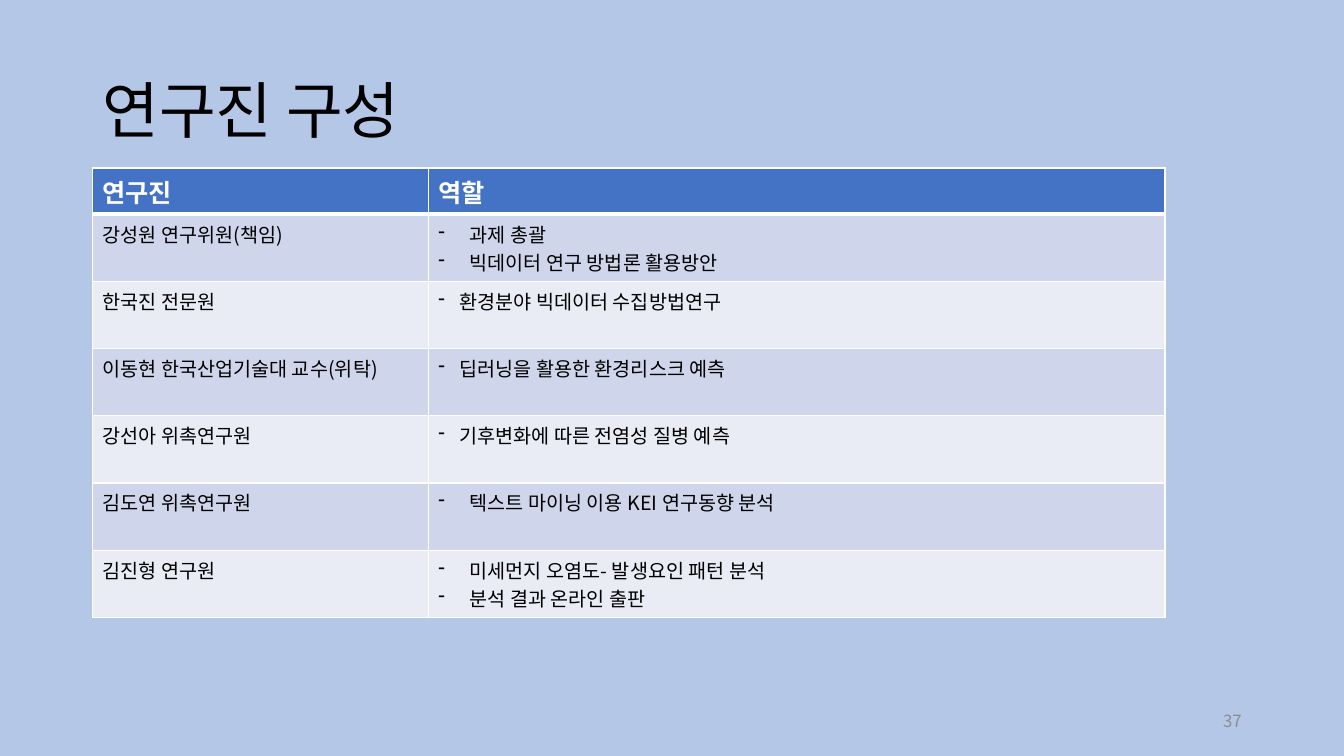
from lxml import etree
from pptx import Presentation
from pptx.dml.color import RGBColor
from pptx.enum.text import MSO_ANCHOR, PP_ALIGN
from pptx.oxml.ns import qn
from pptx.util import Inches, Pt

MIDDLE, TOP = MSO_ANCHOR.MIDDLE, MSO_ANCHOR.TOP
LEFT, RIGHT = PP_ALIGN.LEFT, PP_ALIGN.RIGHT

FONT = "Noto Sans CJK KR"
COLORS = {
    "background": "B4C7E7", "text": "000000", "number": "8C8C8C", "white": "FFFFFF",
    "header": "4472C4", "band_dark": "CFD5EA", "band_light": "E9EBF5",
}
WIDE, NARROW = 0.31, 0.21  # hanging indents of the dashes, in inches

HEADINGS = ("연구진", "역할")
# Researcher, indent of the dashes, roles
TEAM = [
    ("강성원 연구위원(책임)", WIDE, ["과제 총괄", "빅데이터 연구 방법론 활용방안"]),
    ("한국진 전문원", NARROW, ["환경분야 빅데이터 수집방법연구"]),
    ("이동현 한국산업기술대 교수(위탁)", NARROW, ["딥러닝을 활용한 환경리스크 예측"]),
    ("강선아 위촉연구원", NARROW, ["기후변화에 따른 전염성 질병 예측"]),
    ("김도연 위촉연구원", WIDE, ["텍스트 마이닝 이용 KEI 연구동향 분석"]),
    ("김진형 연구원", WIDE, ["미세먼지 오염도- 발생요인 패턴 분석", "분석 결과 온라인 출판"]),
]


def write(frame, *lines, size, color="text", bold=False, align=LEFT, spacing=None, indent=None):
    """Fill a text frame with one paragraph per line; an indent adds dashes."""
    for index, line in enumerate(lines):
        paragraph = frame.paragraphs[0] if index == 0 else frame.add_paragraph()
        if indent:
            properties = paragraph._p.get_or_add_pPr()
            properties.set("marL", str(Inches(indent)))
            properties.set("indent", str(-Inches(indent)))
            etree.SubElement(properties, qn("a:buFontTx"))
            etree.SubElement(properties, qn("a:buChar")).set("char", "-")
        paragraph.alignment = align
        if spacing:
            paragraph.line_spacing = spacing
        run = paragraph.add_run()
        run.text = line
        run.font.size, run.font.bold, run.font.name = Pt(size), bold, FONT
        run.font.color.rgb = RGBColor.from_string(COLORS[color])
        etree.SubElement(run._r.get_or_add_rPr(), qn("a:ea")).set("typeface", FONT)


class Deck:
    """Holds the style and the current slide; lengths are in grid units."""

    COLUMNS, ROWS = 160, 90

    def __init__(self):
        self.deck = Presentation()
        self.deck.slide_width, self.deck.slide_height = Inches(13.33), Inches(7.5)
        self.slide = self.deck.slides.add_slide(self.deck.slide_layouts[6])
        fill = self.slide.background.fill
        fill.solid()
        fill.fore_color.rgb = RGBColor.from_string(COLORS["background"])

    def x(self, columns):
        return round(self.deck.slide_width * columns / self.COLUMNS)

    def y(self, rows):
        return round(self.deck.slide_height * rows / self.ROWS)

    def place(self, left, top, width, height):
        return self.x(left), self.y(top), self.x(width), self.y(height)

    def text(self, *box, words, **style):
        frame = self.slide.shapes.add_textbox(*self.place(*box)).text_frame
        frame.word_wrap, frame.vertical_anchor = True, MIDDLE
        write(frame, words, **style)

    def table(self, left, top, widths, heights):
        box = self.place(left, top, sum(widths), sum(heights))
        table = self.slide.shapes.add_table(len(heights), len(widths), *box).table
        for column, width in zip(table.columns, widths):
            column.width = self.x(width)
        for row, height in zip(table.rows, heights):
            row.height = self.y(height)
        return table

    def cell(self, cell, *lines, fill, top=1, bottom=1, **style):
        cell.vertical_anchor = TOP
        write(cell.text_frame, *lines, **style)
        properties = cell._tc.get_or_add_tcPr()
        for side, points in (("L", 1), ("R", 1), ("T", top), ("B", bottom)):
            border = etree.SubElement(properties, qn(f"a:ln{side}"), w=str(Pt(points)))
            solid = etree.SubElement(border, qn("a:solidFill"))
            etree.SubElement(solid, qn("a:srgbClr")).set("val", COLORS["white"])
        cell.fill.solid()
        cell.fill.fore_color.rgb = RGBColor.from_string(COLORS[fill])


def main():
    deck = Deck()

    # Title
    deck.text(11, 4.8, 138, 17.4, words="연구진 구성", size=44, spacing=0.9)

    # Research team and roles
    team_table = deck.table(11, 20, [40, 87.7], [5.5] + [8] * len(TEAM))
    for column, heading in enumerate(HEADINGS):
        deck.cell(team_table.cell(0, column), heading, fill="header", bottom=3,
                  size=18, color="white", bold=True)
    for row, (researcher, indent, roles) in enumerate(TEAM, 1):
        band = {"fill": "band_dark" if row % 2 else "band_light",
                "top": 3 if row == 1 else 1, "size": 14}
        deck.cell(team_table.cell(row, 0), researcher, **band)
        deck.cell(team_table.cell(row, 1), *roles, indent=indent, **band)

    # Page number
    deck.text(113, 83.4, 36, 4.8, words="37", size=12, color="number", align=RIGHT)

    deck.deck.save("out.pptx")


if __name__ == "__main__":
    main()
